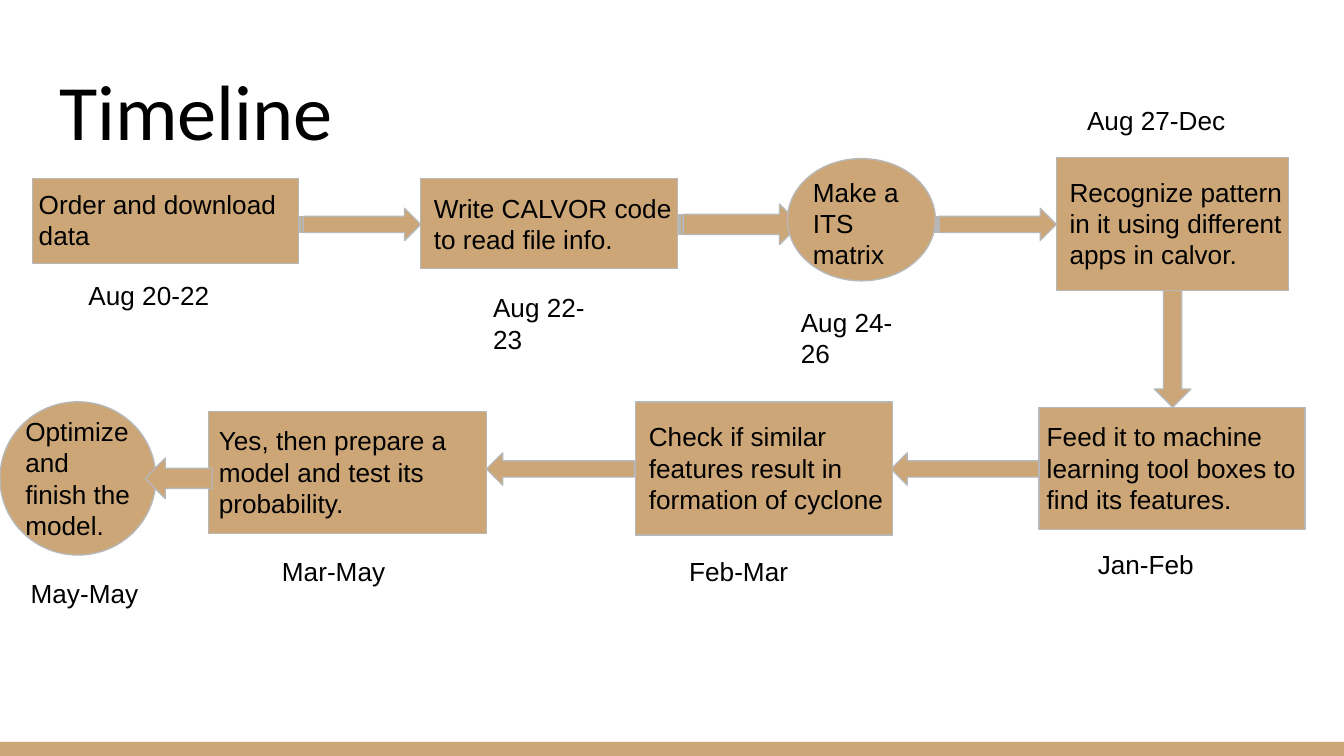
from pptx import Presentation
from pptx.dml.color import RGBColor
from pptx.enum.shapes import MSO_SHAPE
from pptx.enum.text import MSO_ANCHOR, MSO_AUTO_SIZE, PP_ALIGN
from pptx.util import Emu, Pt

RECTANGLE = MSO_SHAPE.RECTANGLE
ELLIPSE = MSO_SHAPE.OVAL
RIGHT = MSO_SHAPE.STRIPED_RIGHT_ARROW
LEFT = MSO_SHAPE.LEFT_ARROW
DOWN = MSO_SHAPE.DOWN_ARROW

EMU_PER_PX = 9144  # 100 px to the inch
SLIDE_WIDTH = 1000
TITLE_ONLY = 5
TAN, GREY, BLACK = "CCA677", "B7B7B7", "000000"

# Boxes are (left, top, width, height). Arrows and steps are relative to their
# row; the text and date boxes are relative to their step.
TOP_ROW = {
    "origin": (24, 117),
    "arrows": [
        (RIGHT, (198, 38, 91, 24)),
        (RIGHT, (480, 35, 91, 30)),
        (RIGHT, (671, 38, 91, 24)),
        (DOWN, (835, 95, 27, 91)),
    ],
    "steps": [
        (RECTANGLE, (0, 16, 198, 63), "Order and download data",
         (-5, -3, 207, 67), "Aug 20-22", (32, 65, 116, 44)),
        (RECTANGLE, (289, 16, 191, 67), "Write CALVOR code to read file info.",
         (0, 0, 207, 67), "Aug 22-23", (44, 74, 108, 44)),
        (ELLIPSE, (562, 1, 110, 91), "Make a ITS matrix",
         (9, 3, 91, 91), "Aug 24-26", (0, 100, 108, 44)),
        (RECTANGLE, (762, 0, 173, 99),
         "Recognize pattern in it using different apps in calvor.",
         (0, 4, 191, 91), "Aug 27-Dec", (13, -49, 147, 44)),
    ],
    "front_arrows": [],
}
BOTTOM_ROW = {
    "origin": (0, 299),
    "arrows": [
        (LEFT, (663, 38, 110, 24)),
        (LEFT, (362, 38, 110, 24)),
    ],
    "steps": [
        (RECTANGLE, (773, 4, 198, 91),
         "Feed it to machine learning tool boxes to find its features.",
         (-4, 0, 207, 91), "Jan-Feb", (34, 95, 147, 44)),
        (RECTANGLE, (473, 0, 191, 99),
         "Check if similar features result in formation of cyclone",
         (0, 4, 223, 91), "Feb-Mar", (30, 104, 110, 44)),
        (RECTANGLE, (155, 7, 207, 91),
         "Yes, then prepare a model and test its probability.",
         (-2, 0, 207, 91), "Mar-May", (45, 97, 110, 44)),
        (ELLIPSE, (0, 0, 116, 114), "Optimize and finish the model.",
         (9, 0, 99, 114), "May-May", (13, 121, 110, 44)),
    ],
    "front_arrows": [(LEFT, (108, 42, 50, 30))],
}


def px(value):
    return Emu(value * EMU_PER_PX)


def color(hex_string):
    return RGBColor.from_string(hex_string)


def place(box):
    return [px(value) for value in box]


def within(origin, box):
    """Shift a box by the left and top of the box that holds it."""
    return (origin[0] + box[0], origin[1] + box[1], box[2], box[3])


def write_text(shape, text, size=14, font="Arial", fill=BLACK,
               anchor=MSO_ANCHOR.TOP, inset=10):
    frame = shape.text_frame
    frame.word_wrap = True
    frame.auto_size = MSO_AUTO_SIZE.NONE
    frame.vertical_anchor = anchor
    frame.margin_left = frame.margin_right = px(inset)
    frame.margin_top = frame.margin_bottom = px(inset)
    paragraph = frame.paragraphs[0]
    paragraph.alignment = PP_ALIGN.LEFT
    run = paragraph.add_run()
    run.text = text
    run.font.size = Pt(size)
    run.font.name = font
    run.font.color.rgb = color(fill)


def add_label(slide, box, text):
    write_text(slide.shapes.add_textbox(*place(box)), text)


def add_block(slide, kind, box, outline=GREY):
    shape = slide.shapes.add_shape(kind, *place(box))
    shape.shadow.inherit = False
    shape.fill.solid()
    shape.fill.fore_color.rgb = color(TAN)
    if outline:
        shape.line.color.rgb = color(outline)
        shape.line.width = Pt(0.75)
    else:
        shape.line.fill.background()


def add_title(slide, box, text):
    title = slide.shapes.title
    title.left, title.top, title.width, title.height = place(box)
    write_text(title, text, size=42, font="Calibri", anchor=MSO_ANCHOR.BOTTOM)


def add_step(slide, box, kind, text, text_box, date, date_box):
    add_block(slide, kind, box)
    add_label(slide, within(box, text_box), text)
    add_label(slide, within(box, date_box), date)


def add_row(slide, origin, arrows, steps, front_arrows):
    # Arrows that tuck under the steps
    for kind, box in arrows:
        add_block(slide, kind, within(origin, box))
    for kind, box, *content in steps:
        add_step(slide, within(origin, box), kind, *content)
    # Arrows that lie over the steps
    for kind, box in front_arrows:
        add_block(slide, kind, within(origin, box))


def main():
    presentation = Presentation()
    presentation.slide_width = px(SLIDE_WIDTH)
    presentation.slide_height = presentation.slide_width * 9 // 16
    slide = presentation.slides.add_slide(presentation.slide_layouts[TITLE_ONLY])

    # Footer bar and title
    add_block(slide, RECTANGLE, (0, 552, SLIDE_WIDTH, 11), outline=None)
    add_title(slide, (34, 35, 932, 91), "Timeline")

    # Timeline, running right and then back left
    add_row(slide, **TOP_ROW)
    add_row(slide, **BOTTOM_ROW)

    presentation.save("out.pptx")


if __name__ == "__main__":
    main()
